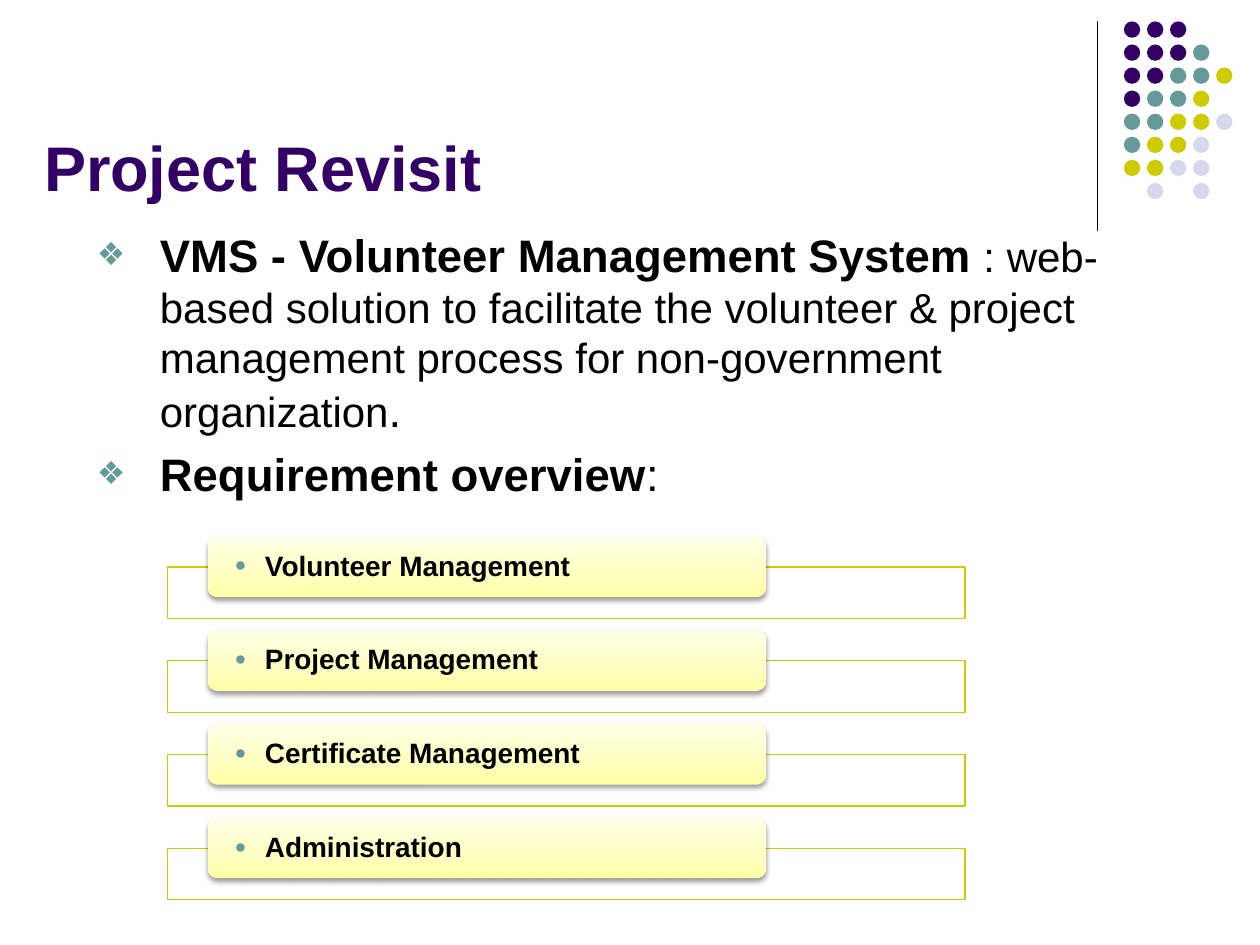
from lxml.etree import SubElement as Sub
from pptx import Presentation
from pptx.dml.color import RGBColor as RGB
from pptx.enum.shapes import MSO_CONNECTOR as Conn, MSO_SHAPE as Geo
from pptx.enum.text import MSO_ANCHOR as Anchor, PP_ALIGN as Align
from pptx.oxml.ns import qn
from pptx.util import Inches, Pt

BLACK = RGB(0, 0, 0)
WHITE = RGB(255, 255, 255)
PURPLE = RGB(0x33, 0x00, 0x66)
TEAL = RGB(0x66, 0x99, 0x99)
LIME = RGB(0xCC, 0xCC, 0x00)
PALE = RGB(0xD8, 0xD8, 0xEC)
CREAM = [(0, RGB(0xFF, 0xFF, 0xA5)), (35, RGB(0xFF, 0xFF, 0xBF)),
         (100, RGB(0xFF, 0xFF, 0xE7))]


def write(par, text, size=24, bold=False, italic=False, color=BLACK):
    run = par.add_run()
    run.text = text
    font = run.font
    font.name, font.size = "Arial", Pt(size)
    font.bold, font.italic = bold, italic
    font.color.rgb = color


def bullet(par, mark, indent):
    par.alignment = Align.LEFT
    props = par._p.get_or_add_pPr()
    props.set("marL", str(Inches(indent)))
    props.set("indent", str(-Inches(indent)))
    Sub(Sub(props, qn("a:buClr")), qn("a:srgbClr"), val=str(TEAL))
    Sub(props, qn("a:buSzPct"), val="70000")
    Sub(props, qn("a:buFont"), typeface="Arial")
    Sub(props, qn("a:buChar"), char=mark)


prs = Presentation()
prs.slide_width, prs.slide_height = Inches(10), Inches(7.5)
slide = prs.slides.add_slide(prs.slide_layouts[5])
shapes = slide.shapes

# Corner rule
rule = shapes.add_connector(Conn.STRAIGHT, Inches(8.71), Inches(0.17),
                            Inches(8.71), Inches(1.83))
rule.line.color.rgb = BLACK
rule.line.width = Pt(0.75)
Sub(rule._element.spPr, qn("a:effectLst"))

# Corner dots: one letter per dot, a space for a gap
tints = {"P": PURPLE, "T": TEAL, "L": LIME, "G": PALE}
rows = ["PPP", "PPPT", "PPTTL", "PTTL", "TTLLG", "TLLG", "LLGG", " G G"]
step = 0.183
for i, row in enumerate(rows):
    for j, key in enumerate(row):
        if key == " ":
            continue
        dot = shapes.add_shape(Geo.OVAL, Inches(8.92 + j * step),
                               Inches(0.17 + i * step),
                               Inches(0.13), Inches(0.13))
        dot.shadow.inherit = False
        dot.fill.solid()
        dot.fill.fore_color.rgb = tints[key]
        dot.line.fill.background()

# Title
title = shapes.title
title.left, title.top = Inches(0.25), Inches(0.25)
title.width, title.height = Inches(8.42), Inches(1.42)
title.text_frame.vertical_anchor = Anchor.BOTTOM
par = title.text_frame.paragraphs[0]
par.alignment = Align.LEFT
write(par, "Project Revisit", size=36, bold=True, color=PURPLE)

# Body text
body = shapes.add_textbox(Inches(0.67), Inches(1.75),
                          Inches(8.75), Inches(2.31)).text_frame
body.word_wrap = True
about, needs = body.paragraphs[0], body.add_paragraph()
for par in (about, needs):
    par.space_before = Pt(5.2)
    bullet(par, "❖", 0.5)
write(about, "VMS - Volunteer Management System", size=26, bold=True)
write(about, " ", italic=True)
write(about, ": web-based solution to facilitate the volunteer & project "
             "management process for non-government organization")
write(about, ".", size=26)
write(needs, "Requirement overview", size=26, bold=True)
write(needs, ":", size=26)

# Requirement list: an outlined bar with a label card on each
names = ["Volunteer Management", "Project Management",
         "Certificate Management", "Administration"]
for i, name in enumerate(names):
    top = 4.26 + i * 0.744
    bar = shapes.add_shape(Geo.RECTANGLE, Inches(1.33), Inches(top + 0.24),
                           Inches(6.33), Inches(0.41))
    bar.shadow.inherit = False
    bar.fill.solid()
    bar.fill.fore_color.rgb = WHITE
    tint = bar._element.spPr.find(qn("a:solidFill"))[0]
    Sub(tint, qn("a:alpha"), val="90000")
    bar.line.color.rgb = LIME
    bar.line.width = Pt(0.75)

    card = shapes.add_shape(Geo.ROUNDED_RECTANGLE, Inches(1.65), Inches(top),
                            Inches(4.43), Inches(0.48))
    card.shadow.inherit = False
    card.line.fill.background()
    card.fill.gradient()
    card.fill.gradient_angle = 90
    props = card._element.spPr
    stops = props.find(qn("a:gradFill")).find(qn("a:gsLst"))
    for stop in list(stops):
        stops.remove(stop)
    for pos, color in CREAM:
        stop = Sub(stops, qn("a:gs"), pos=str(pos * 1000))
        Sub(stop, qn("a:srgbClr"), val=str(color))
    shade = Sub(props.find(qn("a:effectLst")), qn("a:outerShdw"),
                blurRad=str(Pt(3.1)), dist=str(Pt(1.6)), dir="5400000",
                rotWithShape="0")
    Sub(Sub(shade, qn("a:srgbClr"), val=str(BLACK)), qn("a:alpha"),
        val="38000")

    frame = card.text_frame
    frame.word_wrap = True
    frame.vertical_anchor = Anchor.MIDDLE
    frame.margin_left = frame.margin_right = Inches(0.19)
    frame.margin_top = frame.margin_bottom = 0
    par = frame.paragraphs[0]
    par.line_spacing = 0.9
    par.space_after = Pt(5.6)
    bullet(par, "●", 0.24)
    write(par, name, size=16, bold=True)

prs.save("out.pptx")
